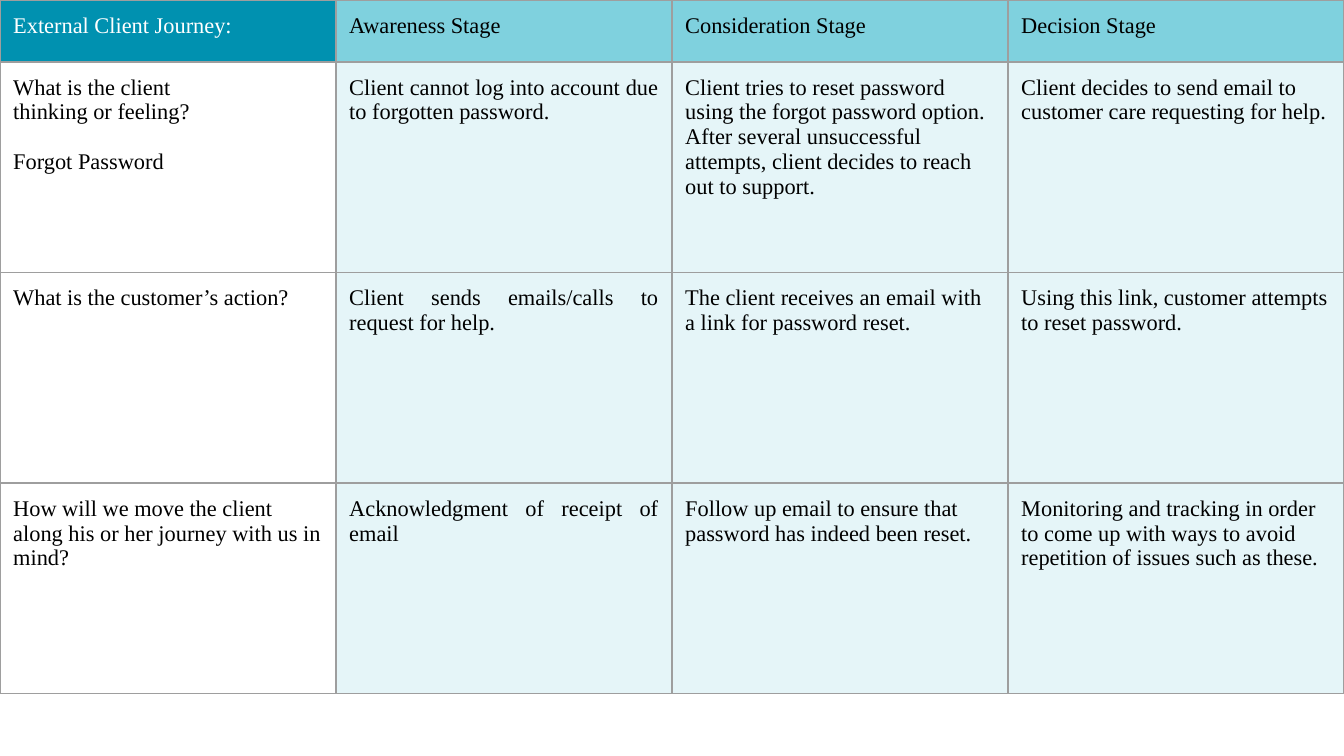
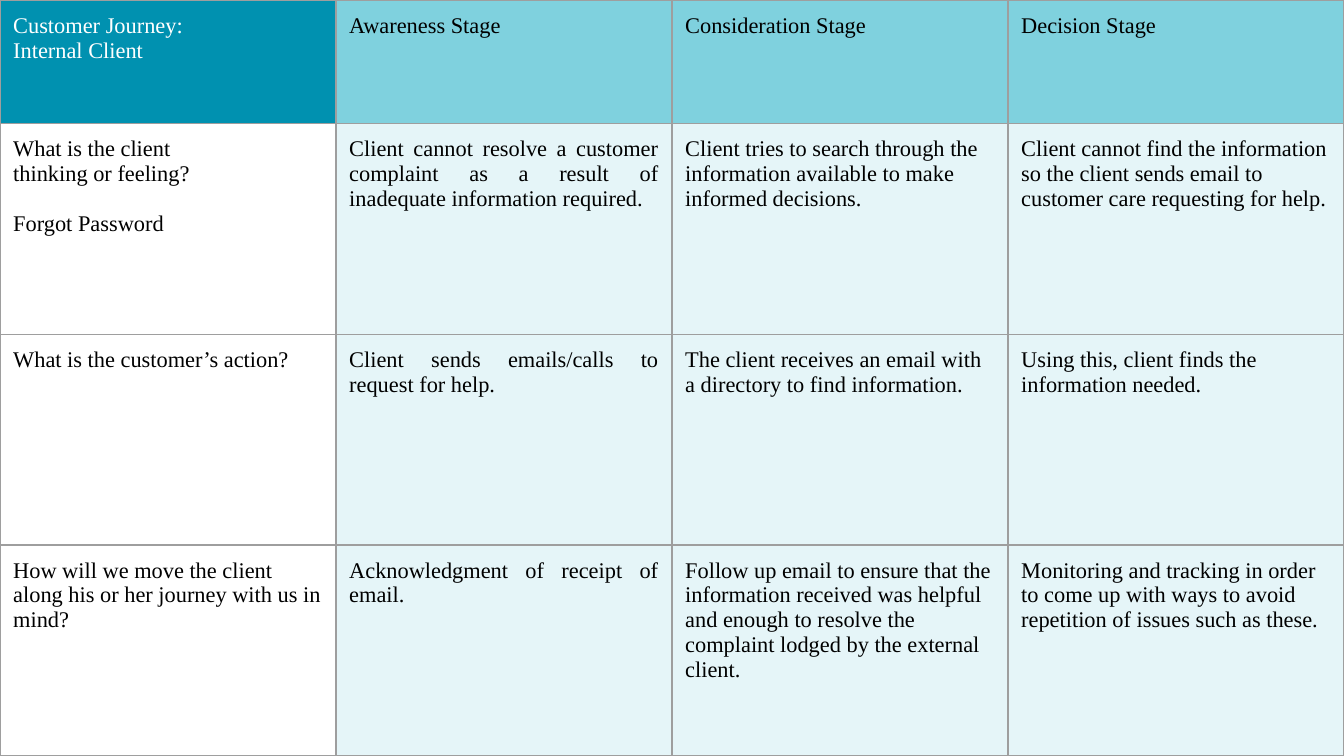
from dataclasses import dataclass

from lxml.etree import SubElement
from pptx import Presentation
from pptx.dml.color import RGBColor
from pptx.enum.text import PP_ALIGN
from pptx.oxml.ns import qn
from pptx.presentation import Presentation as Deck
from pptx.table import _Cell as Cell
from pptx.util import Cm, Pt

LEFT = PP_ALIGN.LEFT
JUSTIFY = PP_ALIGN.JUSTIFY

FONT = "Times New Roman"
FONT_SIZE = Pt(12)
BLANK_LINE = Pt(13.3)
MARGIN = Cm(0.25)
BORDER_WIDTH = Pt(0.75)

WHITE = "FFFFFF"
BLACK = "000000"
BORDER = "9E9E9E"
CORNER = "0091B0"
STAGE = "7FD1DE"
ANSWER = "E5F5F8"

PAGE_WIDTH = 25.4
PAGE_HEIGHT = 14.29
ROW_HEIGHT = 3.98
BLANK_LAYOUT = 6
SIDES = ("a:lnL", "a:lnR", "a:lnT", "a:lnB")

STAGES = ("Awareness Stage", "Consideration Stage", "Decision Stage")
QUESTIONS = (
    "What is the client\nthinking or feeling?\nForgot Password",
    "What is the customer’s action?",
    "How will we move the client along his or her journey with us in mind?",
)
SPACED_LINE = "Forgot Password"
REQUEST = "Client sends emails/calls to request for help."
MONITORING = (
    "Monitoring and tracking in order to come up with ways to avoid "
    "repetition of issues such as these."
)


@dataclass(frozen=True)
class Journey:
    title: str
    header_height: float
    answers: tuple[tuple[str, ...], ...]


JOURNEYS = (
    Journey(
        "External Client Journey:",
        1.17,
        (
            (
                "Client cannot log into account due to forgotten password.",
                "Client tries to reset password using the forgot password option. "
                "After several unsuccessful attempts, client decides to reach "
                "out to support.",
                "Client decides to send email to customer care requesting for help.",
            ),
            (
                REQUEST,
                "The client receives an email with a link for password reset.",
                "Using this link, customer attempts to reset password.",
            ),
            (
                "Acknowledgment of receipt of email",
                "Follow up email to ensure that password has indeed been reset.",
                MONITORING,
            ),
        ),
    ),
    Journey(
        "Customer Journey:\nInternal Client",
        2.34,
        (
            (
                "Client cannot resolve a customer complaint as a result of "
                "inadequate information required.",
                "Client tries to search through the information available to "
                "make informed decisions.",
                "Client cannot find the information so the client sends email "
                "to customer care requesting for help.",
            ),
            (
                REQUEST,
                "The client receives an email with a directory to find information.",
                "Using this, client finds the information needed.",
            ),
            (
                "Acknowledgment of receipt of email.",
                "Follow up email to ensure that the information received was "
                "helpful and enough to resolve the complaint lodged by the "
                "external client.",
                MONITORING,
            ),
        ),
    ),
)


def color(value: str) -> RGBColor:
    return RGBColor.from_string(value)


def draw_borders(cell: Cell) -> None:
    properties = cell._tc.get_or_add_tcPr()
    for side in SIDES:
        line = SubElement(properties, qn(side), w=str(int(BORDER_WIDTH)))
        fill = SubElement(line, qn("a:solidFill"))
        SubElement(fill, qn("a:srgbClr"), val=BORDER)


def cell_fill(row: int, column: int) -> str | None:
    if row == 0:
        return STAGE if column else CORNER
    return ANSWER if column else None


def write_text(cell: Cell, text: str, text_color: str, alignment: PP_ALIGN) -> None:
    cell.text_frame.text = text
    for paragraph in cell.text_frame.paragraphs:
        paragraph.alignment = alignment
        if paragraph.text == SPACED_LINE:
            paragraph.space_before = BLANK_LINE
        for span in paragraph.runs:
            span.font.name = FONT
            span.font.size = FONT_SIZE
            span.font.color.rgb = color(text_color)


def format_cell(cell: Cell, row: int, column: int, text: str) -> None:
    cell.margin_left = cell.margin_right = MARGIN
    cell.margin_top = cell.margin_bottom = MARGIN
    draw_borders(cell)
    fill = cell_fill(row, column)
    if fill is None:
        cell.fill.background()
    else:
        cell.fill.solid()
        cell.fill.fore_color.rgb = color(fill)
    text_color = WHITE if fill == CORNER else BLACK
    alignment = JUSTIFY if row and column == 1 else LEFT
    write_text(cell, text, text_color, alignment)


def add_journey(deck: Deck, journey: Journey) -> None:
    page = deck.slides.add_slide(deck.slide_layouts[BLANK_LAYOUT])
    rows = [(journey.title, *STAGES)]
    rows += [
        (question, *answers) for question, answers in zip(QUESTIONS, journey.answers)
    ]
    heights = [journey.header_height] + [ROW_HEIGHT] * len(QUESTIONS)
    column_count = len(rows[0])
    table = page.shapes.add_table(
        len(rows), column_count, Cm(0), Cm(0), Cm(PAGE_WIDTH), Cm(sum(heights))
    ).table
    table.first_row = False
    table.horz_banding = False
    for column in table.columns:
        column.width = Cm(PAGE_WIDTH / column_count)
    for row, (texts, height) in enumerate(zip(rows, heights)):
        table.rows[row].height = Cm(height)
        for column, text in enumerate(texts):
            format_cell(table.cell(row, column), row, column, text)


def main() -> None:
    deck = Presentation()
    deck.slide_width = Cm(PAGE_WIDTH)
    deck.slide_height = Cm(PAGE_HEIGHT)
    for journey in JOURNEYS:
        add_journey(deck, journey)
    deck.save("out.pptx")


main()
